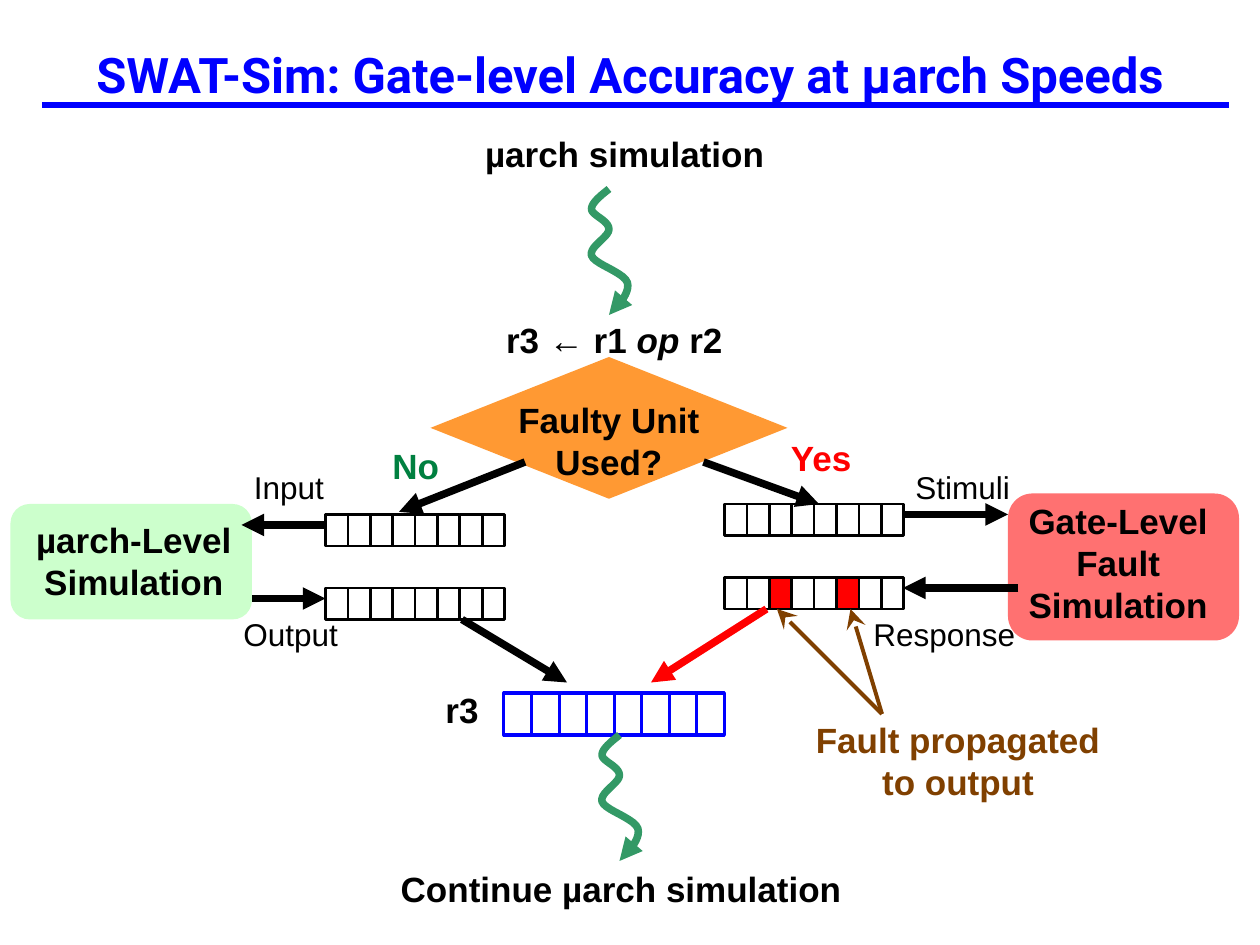
"""Build the SWAT-Sim flow slide."""
from lxml.etree import SubElement
from pptx import Presentation
from pptx.dml.color import RGBColor
from pptx.enum.shapes import MSO_CONNECTOR, MSO_SHAPE
from pptx.enum.text import MSO_ANCHOR, MSO_AUTO_SIZE, PP_ALIGN
from pptx.oxml.ns import qn
from pptx.util import Pt

BLACK = RGBColor(0x00, 0x00, 0x00)
BLUE = RGBColor(0x00, 0x00, 0xFF)
RED = RGBColor(0xFF, 0x00, 0x00)
GREEN = RGBColor(0x00, 0x80, 0x40)
BROWN = RGBColor(0x80, 0x40, 0x00)
ORANGE = RGBColor(0xFF, 0x99, 0x33)
SEA_GREEN = RGBColor(0x33, 0x99, 0x66)
PALE_GREEN = RGBColor(0xCC, 0xFF, 0xCC)
PALE_RED = RGBColor(0xFF, 0x71, 0x71)

deck = Presentation()
deck.slide_width, deck.slide_height = Pt(720), Pt(540)
page = deck.slides.add_slide(deck.slide_layouts[6])


def write(shape, lines, size=20, color=BLACK, bold=True, align=PP_ALIGN.CENTER,
          font="Arial", fit=MSO_AUTO_SIZE.SHAPE_TO_FIT_TEXT):
    frame = shape.text_frame
    frame.word_wrap = False
    frame.auto_size = fit
    frame.text = "\n".join(lines)
    for paragraph in frame.paragraphs:
        paragraph.alignment = align
        paragraph.font.name = font
        paragraph.font.size = Pt(size)
        paragraph.font.bold = bold
        paragraph.font.color.rgb = color
    return frame


def draw_line(start, end, color=BLACK, width=4.32, head="triangle", head_size="med"):
    line = page.shapes.add_connector(MSO_CONNECTOR.STRAIGHT, *map(Pt, start + end))
    line.line.color.rgb = color
    line.line.width = Pt(width)
    if head:
        SubElement(line.line._get_or_add_ln(), qn("a:tailEnd"),
                   type=head, w=head_size, len=head_size)
    SubElement(line._element.spPr, qn("a:effectLst"))


draw_line((24, 60), (702, 60), BLUE, 3, None)
title = page.shapes.add_textbox(Pt(0), Pt(12), Pt(720), Pt(60))
write(title, ["SWAT-Sim: Gate-level Accuracy at µarch Speeds"], 28, BLUE,
      font="Roboto", fit=MSO_AUTO_SIZE.NONE)
title.text_frame.vertical_anchor = MSO_ANCHOR.MIDDLE

blocks = [
    (MSO_SHAPE.FLOWCHART_DECISION, 246, 204, 204, 81, ORANGE),
    (MSO_SHAPE.ROUNDED_RECTANGLE, 6, 288, 138, 66, PALE_GREEN),
    (MSO_SHAPE.ROUNDED_RECTANGLE, 576, 282, 132, 84, PALE_RED),
]
for kind, left, top, width, height, color in blocks:
    block = page.shapes.add_shape(kind, Pt(left), Pt(top), Pt(width), Pt(height))
    block.shadow.inherit = False
    block.fill.solid()
    block.fill.fore_color.rgb = color
    block.line.fill.background()
    if kind == MSO_SHAPE.FLOWCHART_DECISION:
        frame = write(block, ["Faulty Unit", "Used?"], fit=MSO_AUTO_SIZE.NONE)
        frame.vertical_anchor = MSO_ANCHOR.TOP

headings = [
    (270, 72, 174, 31, ["µarch simulation"], BLACK),
    (168, 492, 374, 31, ["Continue µarch simulation"], BLACK),
    (13, 293, 127, 55, ["µarch-Level", "Simulation"], BLACK),
    (570, 282, 138, 79, ["Gate-Level", "Fault", "Simulation"], BLACK),
    (216, 250.5, 43, 31, ["No"], GREEN),
    (443, 246, 52.5, 31, ["Yes"], RED),
    (449.5, 407, 196, 55, ["Fault propagated", "to output"], BROWN),
    (240, 390, 48, 31, ["r3"], BLACK),
]
for left, top, width, height, lines, color in headings:
    box = page.shapes.add_textbox(Pt(left), Pt(top), Pt(width), Pt(height))
    write(box, lines, color=color)

labels = [
    (138, 264, 55, "Input"),
    (132, 348, 69, "Output"),
    (516, 264, 69, "Stimuli"),
    (492, 348, 96, "Response"),
]
for left, top, width, label in labels:
    box = page.shapes.add_textbox(Pt(left), Pt(top), Pt(width), Pt(29))
    write(box, [label], 18, bold=False, align=PP_ALIGN.LEFT)

instruction = page.shapes.add_textbox(Pt(252), Pt(178.5), Pt(198), Pt(31))
paragraph = write(instruction, ["r3 ← r1 "]).paragraphs[0]
for text, italic in (("op", True), (" r2", False)):
    span = paragraph.add_run()
    span.text = text
    span.font.italic = italic

registers = [
    (186, 294, 12.8, 18, BLACK, 1.5, ()),
    (186, 336, 12.8, 18, BLACK, 1.5, ()),
    (414, 288, 12.8, 18, BLACK, 1.5, ()),
    (414, 330, 12.8, 18, BLACK, 1.5, (2, 5)),
    (288, 396, 15.75, 24, BLUE, 1.75, ()),
]
for left, top, width, height, color, weight, faulty_bits in registers:
    for bit in range(8):
        cell = page.shapes.add_shape(
            MSO_SHAPE.RECTANGLE, Pt(left + bit * width), Pt(top), Pt(width), Pt(height))
        cell.shadow.inherit = False
        cell.line.color.rgb = color
        cell.line.width = Pt(weight)
        if bit in faulty_bits:
            cell.fill.solid()
            cell.fill.fore_color.rgb = RED
        else:
            cell.fill.background()

arrows = [
    ((300, 264), (228, 292.5)),
    ((402, 264), (468, 288)),
    ((186, 300), (138, 300)),
    ((144, 342), (186, 342)),
    ((516, 294), (576, 294)),
    ((582, 336), (516, 336)),
    ((264, 354), (324, 390)),
    ((438, 348), (372, 390), RED),
    ((504, 408), (444, 348), BROWN, 2.25, "stealth", "lg"),
    ((504, 408), (486, 348), BROWN, 2.25, "stealth", "lg"),
]
for arrow in arrows:
    draw_line(*arrow)

wave = [
    ((0, 0), (-5, 4), (-10, 8), (-10, 11.5)),
    ((-10, 11.5), (-10, 15), (0, 18), (0, 23)),
    ((0, 23), (0, 27.5), (-11.5, 33), (-10, 38)),
    ((-10, 38), (-8.5, 43), (8.5, 47.5), (10.5, 53.5)),
    ((10.5, 53.5), (12, 59), (6.5, 65.5), (0, 72)),
]
STEPS = 10
for left, top in ((348, 108), (354, 420)):
    points = []
    for curve in wave:
        for step in range(1, STEPS + 1):
            t = step / STEPS
            weights = ((1 - t) ** 3, 3 * t * (1 - t) ** 2, 3 * t ** 2 * (1 - t), t ** 3)
            x, y = (sum(w * p[axis] for w, p in zip(weights, curve)) for axis in (0, 1))
            points.append((Pt(left + x), Pt(top + y)))
    builder = page.shapes.build_freeform(Pt(left), Pt(top))
    builder.add_line_segments(points, close=False)
    flow = builder.convert_to_shape()
    flow.shadow.inherit = False
    flow.fill.background()
    flow.line.color.rgb = SEA_GREEN
    flow.line.width = Pt(4.32)
    SubElement(flow.line._get_or_add_ln(), qn("a:tailEnd"), type="triangle")

deck.save("out.pptx")
